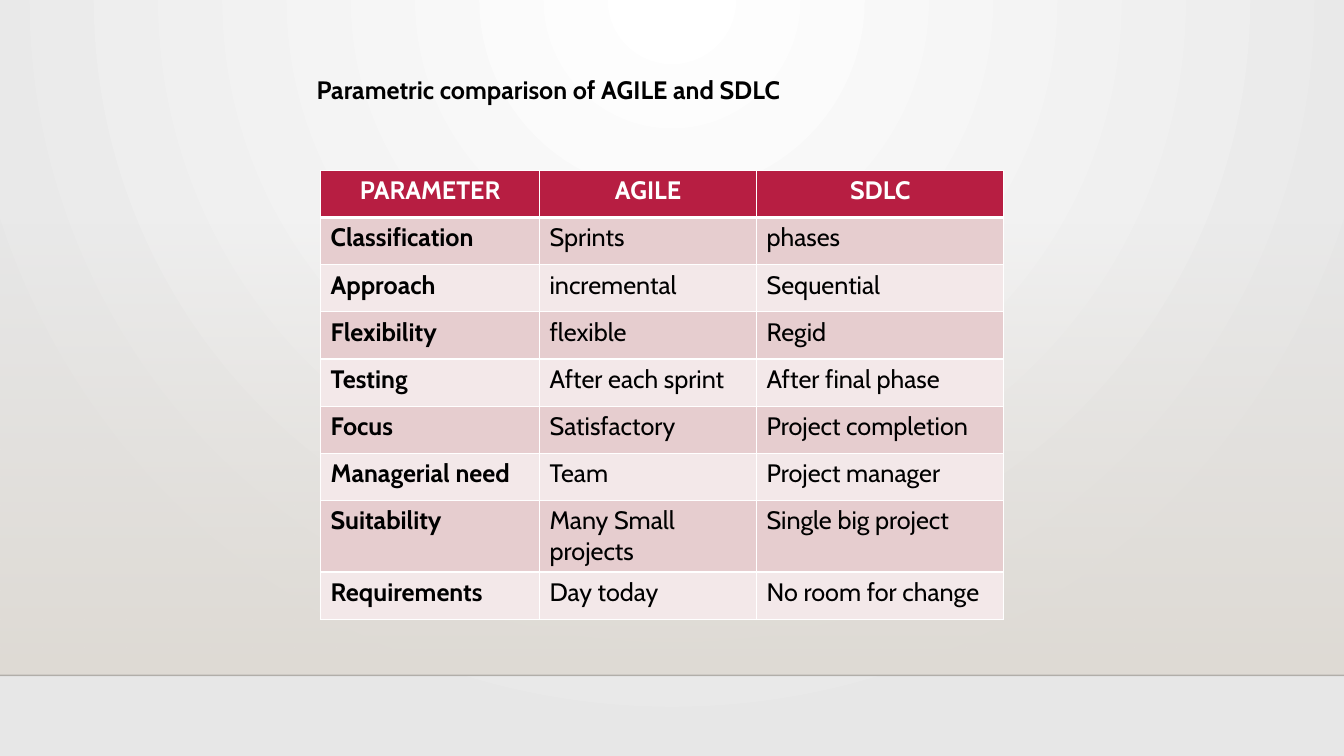
from lxml.etree import SubElement
from pptx import Presentation
from pptx.dml.color import RGBColor
from pptx.enum.shapes import MSO_CONNECTOR as Connector, MSO_SHAPE as Preset
from pptx.enum.text import MSO_ANCHOR as Anchor, MSO_AUTO_SIZE as AutoSize, PP_ALIGN as Align
from pptx.oxml.ns import qn
from pptx.util import Pt

WHITE = RGBColor(0xFF, 0xFF, 0xFF)
BLACK = RGBColor(0x00, 0x00, 0x00)
LIGHT_GREY = RGBColor(0xE7, 0xE7, 0xE7)
SAND = RGBColor(0xDF, 0xDB, 0xD5)
FLOOR_LINE = RGBColor(0x00, 0x00, 0x01)
CRIMSON = RGBColor(0xB7, 0x1E, 0x42)
ROSE = RGBColor(0xE6, 0xCD, 0xCF)
PALE_ROSE = RGBColor(0xF3, 0xE8, 0xE9)

PAGE_WIDTH, PAGE_HEIGHT = 960, 540
FLOOR_TOP = 482.4
COLUMN_WIDTHS = (156.4, 155, 176.6)
ROW_HEIGHT, TWO_LINE_HEIGHT = 33.7, 51.1
TEXT_FORMAT = {"name": "Cabin", "size": Pt(18)}

ROWS = (
    ("PARAMETER", "AGILE", "SDLC"),
    ("Classification", "Sprints", "phases"),
    ("Approach", "incremental", "Sequential"),
    ("Flexibility", "flexible", "Regid"),
    ("Testing", "After each sprint", "After final phase"),
    ("Focus", "Satisfactory", "Project completion"),
    ("Managerial need", "Team", "Project manager"),
    ("Suitability", "Many Small projects", "Single big project"),
    ("Requirements", "Day today", "No room for change"),
)


def write_text(frame, text, color, bold, align=Align.LEFT):
    """Put one formatted line of text into a text frame."""
    para = frame.paragraphs[0]
    para.alignment = align
    span = para.add_run()
    span.text = text
    for name, value in {**TEXT_FORMAT, "bold": bold}.items():
        setattr(span.font, name, value)
    span.font.color.rgb = color


def set_stops(fill, colors):
    """Turn a fill into a gradient through the given colours."""
    fill.gradient()
    for stop, color in zip(fill.gradient_stops, colors):
        stop.color.rgb = color


def set_opacity(element, percents):
    """Give each colour in an element its opacity."""
    for color, percent in zip(list(element.iter(qn("a:srgbClr"))), percents):
        SubElement(color, qn("a:alpha"), val=str(percent * 1000))


def paint_background(page):
    """Fill the page with a glow spreading from its top centre."""
    set_stops(page.background.fill, (WHITE, LIGHT_GREY))
    gradient = next(page.element.iter(qn("a:gradFill")))
    gradient.remove(gradient.find(qn("a:lin")))
    glow = SubElement(gradient, qn("a:path"), path="circle")
    SubElement(glow, qn("a:fillToRect"), l="43000", t="0", r="43000", b="100000")


def add_wall(page, top):
    """Add the sand panel that fades in down to the floor."""
    wall = page.shapes.add_shape(Preset.RECTANGLE, 0, Pt(top), Pt(PAGE_WIDTH), Pt(FLOOR_TOP - top))
    wall.shadow.inherit = False
    wall.line.fill.background()
    set_stops(wall.fill, (SAND, SAND))
    wall.fill.gradient_angle = 270
    set_opacity(wall.element.spPr, (0, 100))


def add_floor_line(page):
    """Draw the faint line between wall and floor."""
    line = page.shapes.add_connector(Connector.STRAIGHT, 0, Pt(FLOOR_TOP), Pt(PAGE_WIDTH), Pt(FLOOR_TOP))
    line.line.width = Pt(1)
    line.line.color.rgb = FLOOR_LINE
    properties = line.element.spPr
    set_opacity(properties, (20,))
    SubElement(properties, qn("a:effectLst"))


def place_title(page, text):
    """Move the title placeholder and write into it."""
    title = page.shapes.title
    box = {"left": 218.9, "top": 49.7, "width": 488, "height": 29}
    for name, value in box.items():
        setattr(title, name, Pt(value))
    frame = title.text_frame
    layout = {"word_wrap": True, "auto_size": AutoSize.NONE, "vertical_anchor": Anchor.TOP}
    for name, value in layout.items():
        setattr(frame, name, value)
    write_text(frame, text, BLACK, True)


def set_borders(cell, widths):
    """Draw white borders around a cell, given a width for each side."""
    properties = cell._tc.get_or_add_tcPr()
    for index, (side, width) in enumerate(widths.items()):
        border = SubElement(properties, qn(f"a:ln{side}"), w=str(Pt(width)))
        fill = SubElement(border, qn("a:solidFill"))
        SubElement(fill, qn("a:srgbClr"), val=str(WHITE))
        properties.insert(index, border)


def fill_cell(cell, text, row, column):
    """Colour, border and write one cell by its place in the table."""
    header = row == 0
    cell.fill.solid()
    cell.fill.fore_color.rgb = CRIMSON if header else (PALE_ROSE, ROSE)[row % 2]
    set_borders(cell, {"L": 1, "R": 1, "T": 3 if row == 1 else 1, "B": 3 if header else 1})
    color, align = (WHITE, Align.CENTER) if header else (BLACK, Align.LEFT)
    write_text(cell.text_frame, text, color, header or column == 0, align)


def add_comparison(page, left, top):
    """Add the comparison table."""
    frame = page.shapes.add_table(
        len(ROWS), len(COLUMN_WIDTHS), Pt(left), Pt(top),
        Pt(sum(COLUMN_WIDTHS)), Pt(ROW_HEIGHT * len(ROWS)))
    table = frame.table
    for column, width in zip(table.columns, COLUMN_WIDTHS):
        column.width = Pt(width)
    for row, texts in enumerate(ROWS):
        table.rows[row].height = Pt(TWO_LINE_HEIGHT if texts[0] == "Suitability" else ROW_HEIGHT)
        for column, text in enumerate(texts):
            fill_cell(table.cell(row, column), text, row, column)


def main():
    """Build the slide and save the deck."""
    deck = Presentation()
    deck.slide_width, deck.slide_height = Pt(PAGE_WIDTH), Pt(PAGE_HEIGHT)
    page = deck.slides.add_slide(deck.slide_layouts[5])
    paint_background(page)
    add_wall(page, 159.1)
    add_floor_line(page)
    add_comparison(page, 229, 121.7)
    place_title(page, "Parametric comparison of AGILE and SDLC")
    deck.save("out.pptx")


if __name__ == "__main__":
    main()
